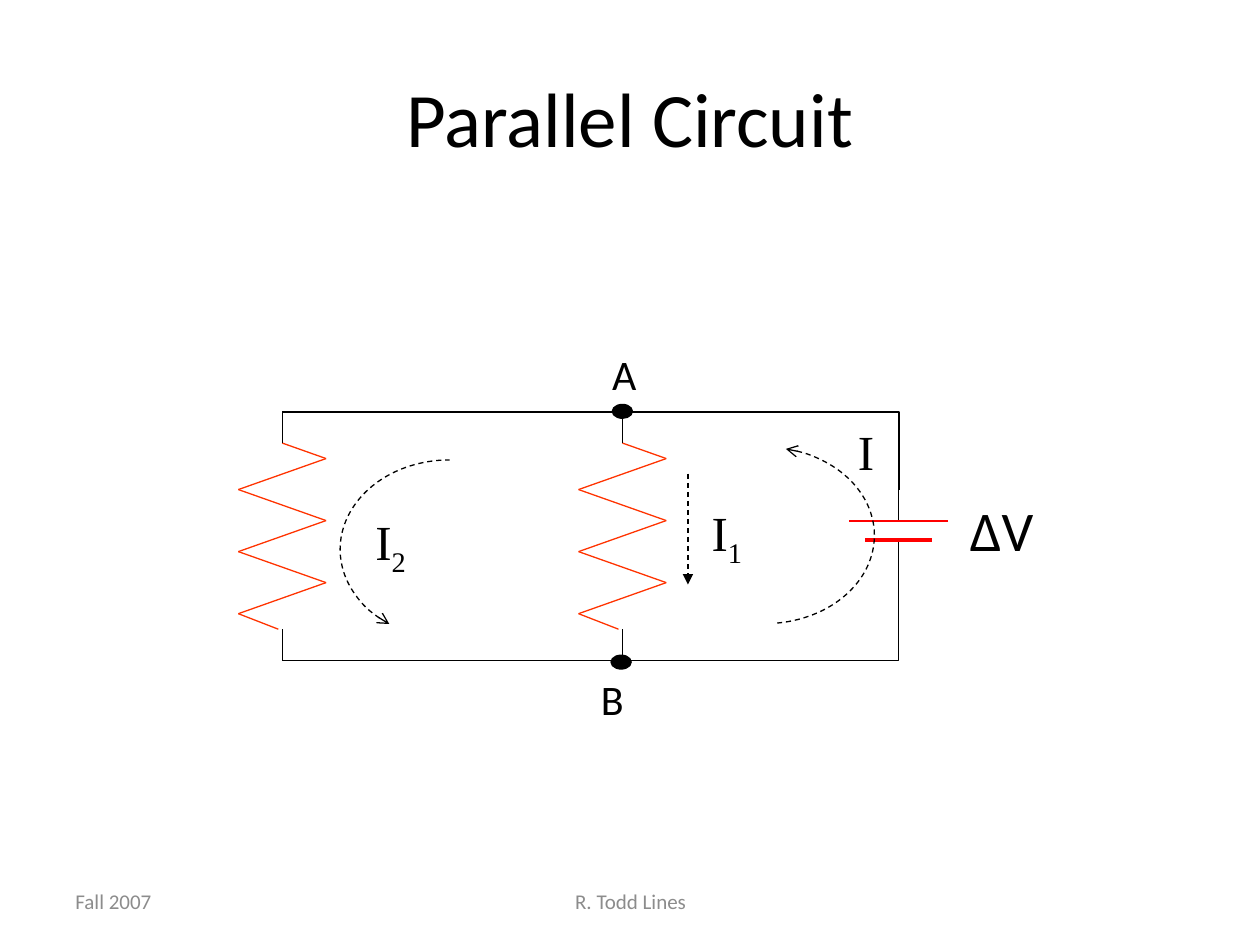
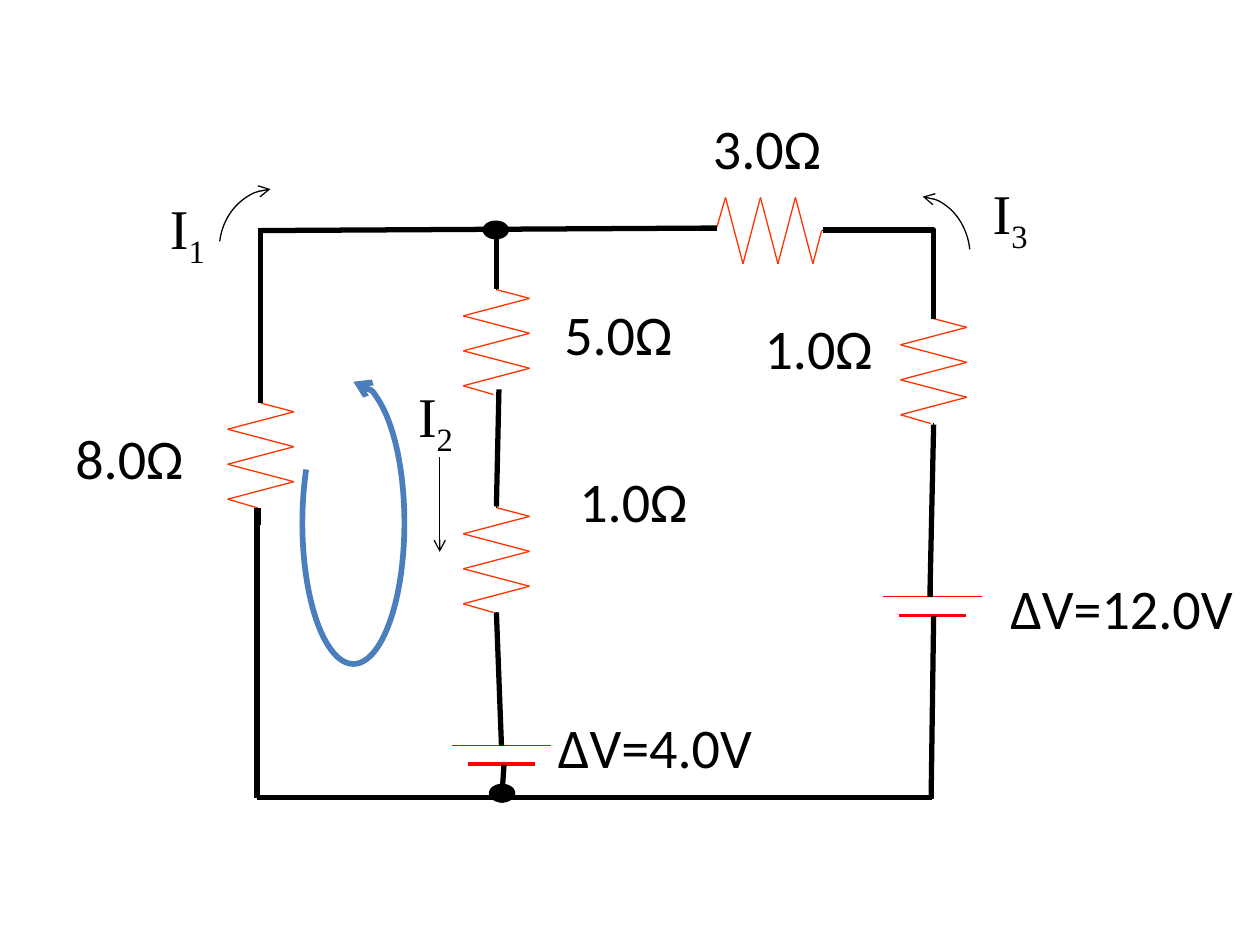
from dataclasses import dataclass
from itertools import pairwise
from typing import Any

from lxml import etree
from pptx import Presentation
from pptx import util as u
from pptx.dml.color import RGBColor
from pptx.enum import dml, shapes, text
from pptx.oxml.ns import qn

# Slide grid: 100 columns by 75 rows of square cells
COLUMNS, ROWS = 100, 75
CELL = u.Inches(10) // COLUMNS


@dataclass(frozen=True)
class Theme:
    ink: str = "000000"
    muted: str = "8C8C8C"
    resistor: str = "FF3300"
    plate: str = "FF0000"
    loop: str = "4B7EBC"
    sans: str = "Calibri"
    serif: str = "Times New Roman"
    title: int = 44
    value: int = 32
    current: int = 28
    node: int = 24
    footer: int = 12
    thin: float = 0.75
    thick: float = 2.25
    heavy: float = 3
    loop_width: float = 3.25


THEME = Theme()
Point = tuple[float, float]


# Circuit parts, all measured in grid cells
@dataclass(frozen=True)
class Label:
    content: str
    left: float
    top: float
    width: float
    height: float
    size: int
    subscript: str = ""
    font: str = THEME.sans
    color: str = THEME.ink


@dataclass(frozen=True)
class Banner(Label):
    align: Any = text.PP_ALIGN.CENTER


@dataclass(frozen=True)
class Wire:
    begin: Point
    end: Point
    width: float = THEME.thin
    color: str = THEME.ink
    elbow: bool = False
    dashed: bool = False
    arrow: str = ""


@dataclass(frozen=True)
class Resistor:
    """Starts at one lead and runs down, or to the left when horizontal."""
    x: float
    y: float
    length: float = 11.1
    half_width: float = 2.63
    horizontal: bool = False


@dataclass(frozen=True)
class Battery:
    x: float
    top: float


@dataclass(frozen=True)
class Arc:
    """Clockwise arc between two angles in degrees."""
    left: float
    top: float
    width: float
    height: float
    start: float
    end: float
    arrow_end: str
    line_width: float = THEME.thin
    color: str = THEME.ink
    dashed: bool = False


@dataclass(frozen=True)
class Node:
    left: float
    top: float
    width: float
    height: float
    outlined: bool = False


def cells(*values: float) -> list[int]:
    return [round(value * CELL) for value in values]


def style_line(shape: Any, color: str, width: float, dashed: bool = False) -> None:
    shape.line.color.rgb = RGBColor.from_string(color)
    shape.line.width = u.Pt(width)
    if dashed:
        shape.line.dash_style = dml.MSO_LINE.DASH


def add_arrowhead(shape: Any, end: str, kind: str) -> None:
    line = shape.element.spPr.find(qn("a:ln"))
    etree.SubElement(line, qn(f"a:{end}"), type=kind)


def draw_label(target: Any, label: Label) -> None:
    box = target.add_textbox(*cells(label.left, label.top, label.width, label.height))
    frame = box.text_frame
    paragraph = frame.paragraphs[0]
    if isinstance(label, Banner):
        frame.word_wrap = True
        frame.vertical_anchor = text.MSO_ANCHOR.MIDDLE
        paragraph.alignment = label.align
    else:
        frame.word_wrap = bool(label.subscript)
        frame.auto_size = text.MSO_AUTO_SIZE.SHAPE_TO_FIT_TEXT
    paragraph.font.size = u.Pt(label.size)
    paragraph.font.name = label.font
    paragraph.font.color.rgb = RGBColor.from_string(label.color)
    paragraph.add_run().text = label.content
    if label.subscript:
        run = paragraph.add_run()
        run.text = label.subscript
        run._r.get_or_add_rPr().set("baseline", "-25000")


def draw_wire(target: Any, wire: Wire) -> None:
    kind = shapes.MSO_CONNECTOR.ELBOW if wire.elbow else shapes.MSO_CONNECTOR.STRAIGHT
    connector = target.add_connector(kind, *cells(*wire.begin, *wire.end))
    properties = connector.element.spPr
    if wire.elbow:  # one corner: across first, then up or down
        properties.find(qn("a:prstGeom")).set("prst", "bentConnector2")
    style_line(connector, wire.color, wire.width, wire.dashed)
    if wire.arrow:
        add_arrowhead(connector, "tailEnd", wire.arrow)
    etree.SubElement(properties, qn("a:effectLst"))


def draw_resistor(target: Any, resistor: Resistor) -> None:
    group = target.add_group_shape().shapes

    def place(share: float, offset: float) -> Point:
        along, across = share * resistor.length, offset * resistor.half_width
        if resistor.horizontal:
            return resistor.x - along, resistor.y + across
        return resistor.x + across, resistor.y + along

    # Six peaks on alternating sides, an eighth of the length apart
    peaks = [place((3 + 2 * i) / 16, (-1) ** i) for i in range(6)]
    zigzag = [place(1 / 8, 0), *peaks, place(7 / 8, -0.09)]
    for begin, end in pairwise(zigzag):
        draw_wire(group, Wire(begin, end, color=THEME.resistor))
    for share in (0, 7 / 8):
        draw_wire(group, Wire(place(share, 0), place(share + 1 / 8, 0)))


def draw_battery(target: Any, battery: Battery) -> None:
    group = target.add_group_shape().shapes
    x, top = battery.x, battery.top
    for begin, end in ((0, 2.45), (4.15, 6.6)):
        draw_wire(group, Wire((x, top + begin), (x, top + end)))
    for half, drop, width in ((3.95, 2.45, THEME.thin), (2.65, 3.95, THEME.thick)):
        draw_wire(group, Wire((x + half, top + drop), (x - half, top + drop),
                              width, THEME.plate))


def draw_arc(target: Any, arc: Arc) -> None:
    shape = target.add_shape(shapes.MSO_SHAPE.ARC,
                             *cells(arc.left, arc.top, arc.width, arc.height))
    for index, degrees in enumerate((arc.start, arc.end)):
        shape.adjustments[index] = degrees * 0.6
    shape.shadow.inherit = False
    shape.fill.background()
    style_line(shape, arc.color, arc.line_width, arc.dashed)
    add_arrowhead(shape, arc.arrow_end, "arrow")


def draw_node(target: Any, node: Node) -> None:
    shape = target.add_shape(shapes.MSO_SHAPE.OVAL,
                             *cells(node.left, node.top, node.width, node.height))
    shape.shadow.inherit = False
    shape.fill.solid()
    shape.fill.fore_color.rgb = RGBColor.from_string(THEME.ink)
    if node.outlined:
        style_line(shape, THEME.ink, THEME.thin)
    else:
        shape.line.fill.background()


PAINTERS = {Label: draw_label, Banner: draw_label, Wire: draw_wire,
            Resistor: draw_resistor, Battery: draw_battery, Arc: draw_arc,
            Node: draw_node}


def current(subscript: str, left: float, top: float, width: float = 5,
            height: float = 6.4, size: int = THEME.value) -> Label:
    return Label("I", left, top, width, height, size, subscript, THEME.serif)


def value(content: str, left: float, top: float, width: float = 11.2) -> Label:
    return Label(content, left, top, width, 6.4, THEME.value)


def heavy(begin: Point, end: Point, elbow: bool = False) -> Wire:
    return Wire(begin, end, THEME.heavy, elbow=elbow)


# Slide 1: two resistors in parallel with a battery
PARALLEL_CIRCUIT = [
    Banner("Fall 2007", 5, 69.5, 23.3, 4, THEME.footer, color=THEME.muted,
           align=text.PP_ALIGN.LEFT),
    Banner("R. Todd Lines", 34.2, 69.5, 31.7, 4, THEME.footer, color=THEME.muted),
    Banner("Parallel Circuit", 5, 3, 90, 12.5, THEME.title),
    Battery(71.3, 38.9),
    *(Resistor(x, 32.7, 19.7, 3.48) for x in (22.4, 49.4)),
    value("ΔV", 76, 38.8, 7.7),
    *(Wire((22.4, y), (49.5, y)) for y in (32.7, 52.4)),
    Wire((49.5, 32.7), (71.35, 38.9), elbow=True),
    Wire((49.5, 52.4), (71.3, 45.5), elbow=True),
    current("1", 55.5, 39.4, 5.9, 5.7, THEME.current),
    current("2", 28.8, 40.1, 6.2, 5.7, THEME.current),
    current("", 67.1, 33, 3.3, 5.7, THEME.current),
    Arc(27, 36.5, 17.4, 14.2, 129, 270, "headEnd", dashed=True),
    Wire((54.6, 37.6), (54.6, 46.4), dashed=True, arrow="triangle"),
    Arc(52, 35.5, 17.4, 14, 283.7, 81.9, "headEnd", dashed=True),
    Node(48.6, 32.1, 1.6, 1.1, outlined=True),
    Node(48.5, 52, 1.6, 1.1, outlined=True),
    Label("A", 47.6, 27.2, 4.2, 5, THEME.node),
    Label("B", 46.7, 53, 4.2, 5, THEME.node),
]

# Slide 2: two loops with two batteries
TWO_LOOP_CIRCUIT = [
    Battery(74, 44.9),
    value("ΔV=12.0V", 79.2, 45, 20.1),
    Battery(39.8, 56.7),
    value("ΔV=4.0V", 43.3, 56.1, 17.8),
    Resistor(20.7, 30.6),
    value("8.0Ω", 5, 33.1),
    Resistor(39.4, 21.6),
    Resistor(39.4, 38.9),
    Resistor(74.1, 23.9),
    Resistor(66.6, 18.3, horizontal=True),
    value("1.0Ω", 45, 36.5),
    value("1.0Ω", 59.7, 24.4),
    value("3.0Ω", 55.6, 8.5),
    value("5.0Ω", 43.8, 23.3),
    Arc(17.4, 15, 8.7, 9.6, 188.5, 266.6, "tailEnd"),
    current("1", 12.5, 14.9),
    Arc(68.9, 15.6, 8.1, 9.6, 273.4, 351.5, "headEnd"),
    current("3", 77.8, 13.7),
    current("2", 32.2, 29.8),
    Wire((34.9, 36.3), (34.9, 43.8), arrow="arrow"),
    heavy((20.7, 18.3), (56.9, 18.1)),
    heavy((20.7, 18.1), (20.7, 32)),
    heavy((20.4, 40.3), (20.4, 63.3)),
    heavy((20.4, 63.3), (74, 63.3)),
    heavy((74.1, 48.9), (73.9, 63.4)),
    heavy((74.1, 33.7), (73.8, 47.4)),
    heavy((65.3, 18.25), (74.1, 25.3), elbow=True),
    heavy((39.4, 18.3), (39.4, 22.9)),
    Node(38.3, 17.5, 2.1, 1.5),
    Node(38.8, 62.2, 2.1, 1.5),
    heavy((39.6, 30.9), (39.4, 40.2)),
    heavy((39.4, 48.6), (39.8, 59.2)),
    heavy((40, 60.7), (39.8, 63.7)),
    Arc(24, 30.3, 8.1, 22.4, 270, 228.48, "headEnd", THEME.loop_width, THEME.loop),
]


def main() -> None:
    presentation = Presentation()
    presentation.slide_width = COLUMNS * CELL
    presentation.slide_height = ROWS * CELL
    blank_layout = presentation.slide_layouts[6]
    for circuit in (PARALLEL_CIRCUIT, TWO_LOOP_CIRCUIT):
        slide = presentation.slides.add_slide(blank_layout)
        for part in circuit:
            PAINTERS[type(part)](slide.shapes, part)
    presentation.save("out.pptx")


if __name__ == "__main__":
    main()
